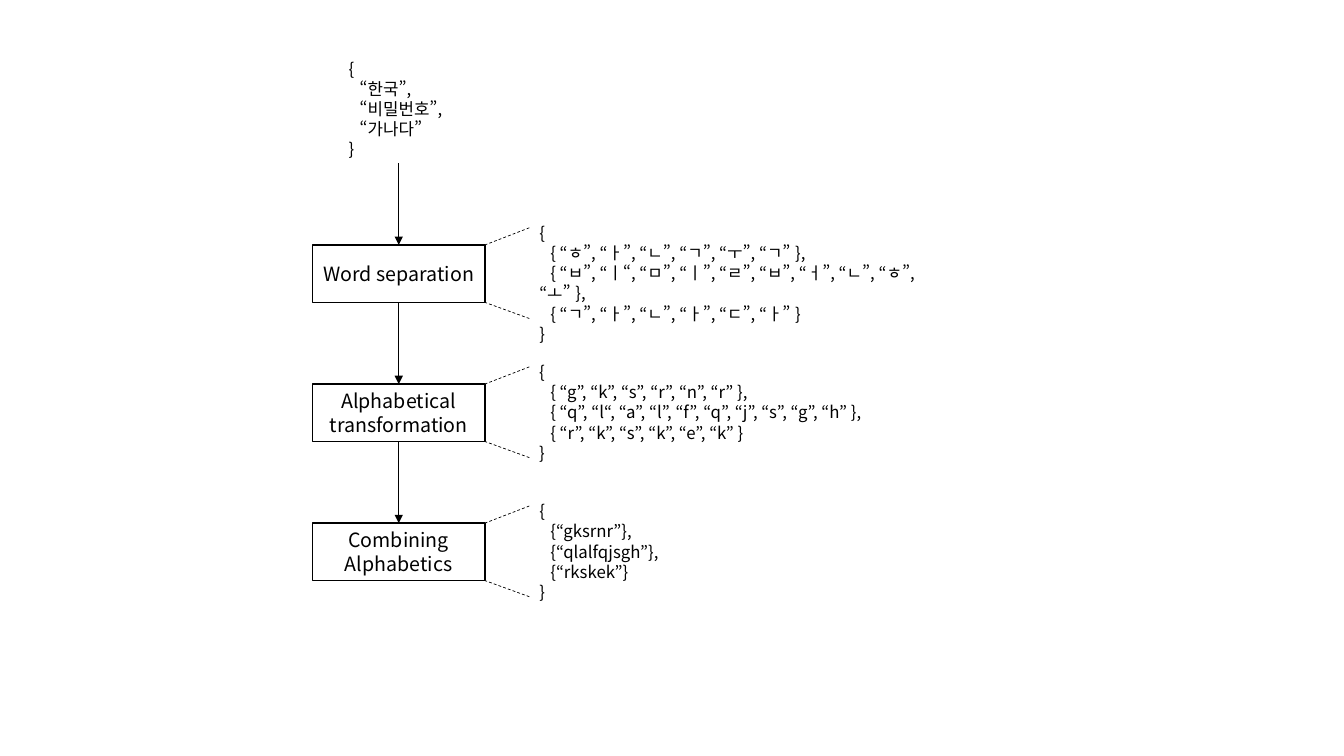
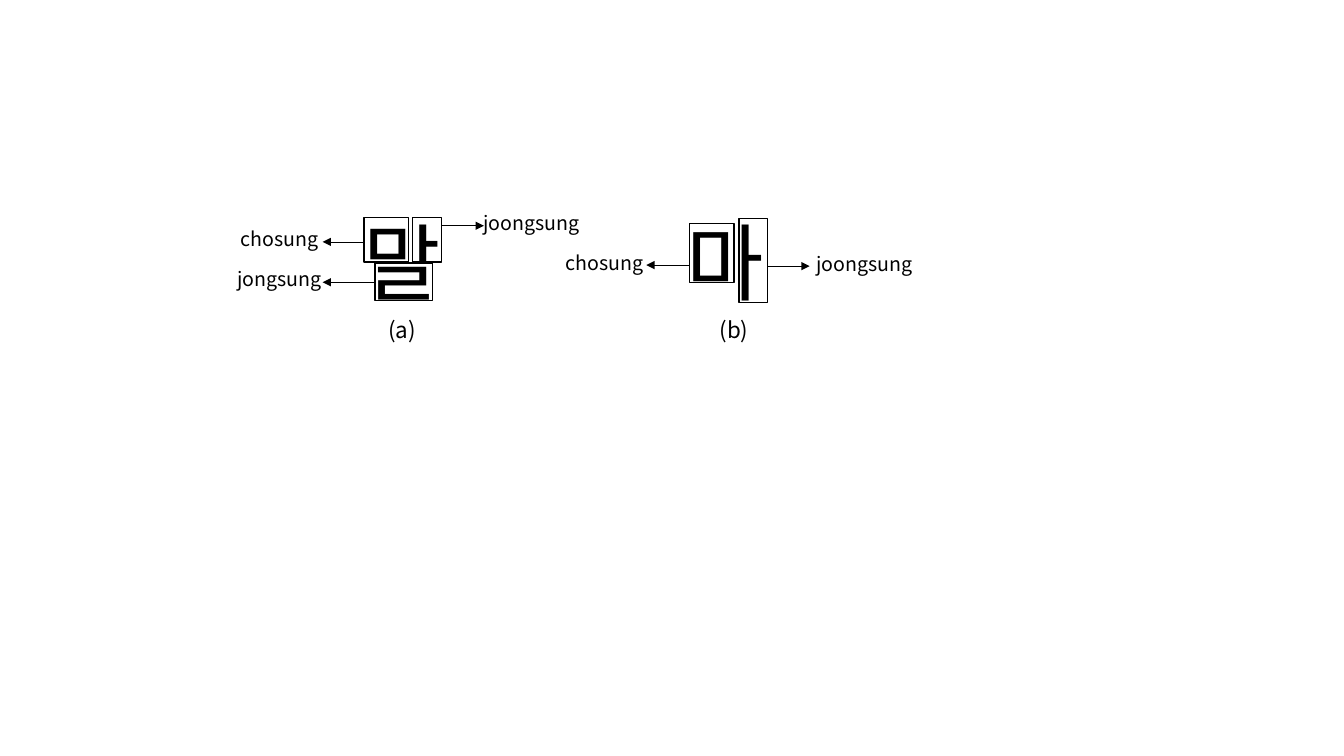
from pptx import Presentation
from pptx import util as u
from pptx.dml.color import RGBColor
from pptx.enum import dml, lang, shapes, text
from pptx.oxml.ns import qn

FONT = "Noto Sans CJK KR"
BLACK, WHITE = "000000", "FFFFFF"
LINE_RATIO = 1.2
INDENT = 0.11

WORDS = ["{", "“한국”,", "“비밀번호”,", "“가나다”", "}"]
STEPS = [
    (["Word separation"], 4.39, [
        "{",
        "{ “ㅎ”, “ㅏ”, “ㄴ”, “ㄱ”, “ㅜ”, “ㄱ” },",
        "{ “ㅂ”, “ㅣ“, “ㅁ”, “ㅣ”, “ㄹ”, “ㅂ”, “ㅓ”, “ㄴ”, “ㅎ”, “ㅗ” },",
        "{ “ㄱ”, “ㅏ”, “ㄴ”, “ㅏ”, “ㄷ”, “ㅏ” }",
        "}"]),
    (["Alphabetical", "transformation"], 3.44, [
        "{",
        "{ “g”, “k”, “s”, “r”, “n”, “r” },",
        "{ “q”, “l“, “a”, “l”, “f”, “q”, “j”, “s”, “g”, “h” },",
        "{ “r”, “k”, “s”, “k”, “e”, “k” }",
        "}"]),
    (["Combining", "Alphabetics"], 2.15, [
        "{", "{“gksrnr”},", "{“qlalfqjsgh”},", "{“rkskek”}", "}"]),
]
STEP_LEFT, STEP_TOP, STEP_WIDTH, STEP_HEIGHT = 3.1, 2.43, 1.71, 0.57
STEP_PITCH = 1.38
DETAIL_LEFT = 5.25

SYLLABLES = [
    {"glyph": "말", "left": 3.47, "caption": "(a)", "caption_left": 3.47,
     "frames": [(3.61, 2.16, 0.44, 0.44), (3.72, 2.61, 0.57, 0.37),
                (4.09, 2.16, 0.29, 0.44)],
     "arrows": [(4.38, 2.24, 4.8), (3.62, 2.4, 3.2), (3.72, 2.8, 3.2)],
     "labels": [("chosung", 1.83, 2.2), ("jongsung", 1.83, 2.6),
                ("joongsung", 4.33, 2.04)]},
    {"glyph": "마", "left": 6.67, "caption": "(b)", "caption_left": 6.76,
     "frames": [(6.84, 2.22, 0.44, 0.58), (7.33, 2.17, 0.28, 0.83)],
     "arrows": [(7.61, 2.64, 8.03), (6.83, 2.63, 6.41)],
     "labels": [("chosung", 5.05, 2.44), ("joongsung", 7.63, 2.45)]},
]


def color(value):
    return RGBColor.from_string(value)


def add_child(parent, tag, **attributes):
    child = parent.makeelement(qn(tag), attributes)
    parent.append(child)


def write(shape, lines, size, centered=True, indent=0):
    frame = shape.text_frame
    frame.word_wrap = True
    frame.text = "\n".join(lines)
    for row, para in enumerate(frame.paragraphs):
        para.alignment = text.PP_ALIGN.CENTER if centered else text.PP_ALIGN.LEFT
        para.line_spacing = u.Pt(size * LINE_RATIO)
        if indent and 0 < row < len(lines) - 1:
            properties = para._p.get_or_add_pPr()
            properties.set("marL", "0")
            properties.set("indent", str(u.Inches(indent)))
        for span in para.runs:
            span.font.size = u.Pt(size)
            span.font.name = FONT
            span.font.language_id = lang.MSO_LANGUAGE_ID.KOREAN
            span.font.color.rgb = color(BLACK)
            add_child(span.font._element, "a:ea", typeface=FONT)


def add_text(page, lines, area, size, **style):
    box = page.shapes.add_textbox(*map(u.Inches, area))
    write(box, lines, size, **style)


def add_frame(page, area, fill=None):
    frame = page.shapes.add_shape(
        shapes.MSO_SHAPE.RECTANGLE, *map(u.Inches, area))
    frame.shadow.inherit = False
    frame.line.color.rgb = color(BLACK)
    frame.line.width = u.Pt(1)
    if fill:
        frame.fill.solid()
        frame.fill.fore_color.rgb = color(fill)
    else:
        frame.fill.background()
    return frame


def add_line(page, start, end, dashed=False):
    line = page.shapes.add_connector(
        shapes.MSO_CONNECTOR.STRAIGHT, *map(u.Inches, start + end))
    line.line.color.rgb = color(BLACK)
    line.line.width = u.Pt(0.5)
    if dashed:
        line.line.dash_style = dml.MSO_LINE.DASH
    else:
        add_child(line.line._get_or_add_ln(), "a:tailEnd", type="triangle")
    add_child(line._element.spPr, "a:effectLst")


def build_flow(page):
    center = STEP_LEFT + STEP_WIDTH / 2
    right = STEP_LEFT + STEP_WIDTH
    gap = STEP_PITCH - STEP_HEIGHT
    add_text(page, WORDS, (3.36, 0.53, 1.8, 1.11), 12,
             centered=False, indent=INDENT)
    for index, (title, width, details) in enumerate(STEPS):
        top = STEP_TOP + index * STEP_PITCH
        bottom = top + STEP_HEIGHT
        step = add_frame(page, (STEP_LEFT, top, STEP_WIDTH, STEP_HEIGHT), WHITE)
        frame = step.text_frame
        frame.margin_left = frame.margin_right = 0
        frame.margin_top = frame.margin_bottom = 0
        frame.vertical_anchor = text.MSO_ANCHOR.MIDDLE
        write(step, title, 14)
        add_line(page, (center, top - gap), (center, top))
        add_line(page, (DETAIL_LEFT, top - 0.17), (right, top), dashed=True)
        add_line(page, (DETAIL_LEFT, bottom + 0.16), (right, bottom), dashed=True)
        add_text(page, details, (DETAIL_LEFT, top - 0.27, width, 1.11), 12,
                 centered=False, indent=INDENT)


def build_syllables(page):
    for syllable in SYLLABLES:
        add_text(page, [syllable["glyph"]], (syllable["left"], 2.04, 1.04, 1.11), 60)
        for area in syllable["frames"]:
            add_frame(page, area)
        for start, y, end in syllable["arrows"]:
            add_line(page, (start, y), (end, y))
        for label, left, top in syllable["labels"]:
            add_text(page, [label], (left, top, 1.89, 0.34), 14)
        add_text(page, [syllable["caption"]],
                 (syllable["caption_left"], 3.09, 1.04, 0.37), 16)


def main():
    deck = Presentation()
    deck.slide_width, deck.slide_height = u.Inches(13.33), u.Inches(7.5)
    for build in (build_flow, build_syllables):
        build(deck.slides.add_slide(deck.slide_layouts[6]))
    deck.save("out.pptx")


if __name__ == "__main__":
    main()
